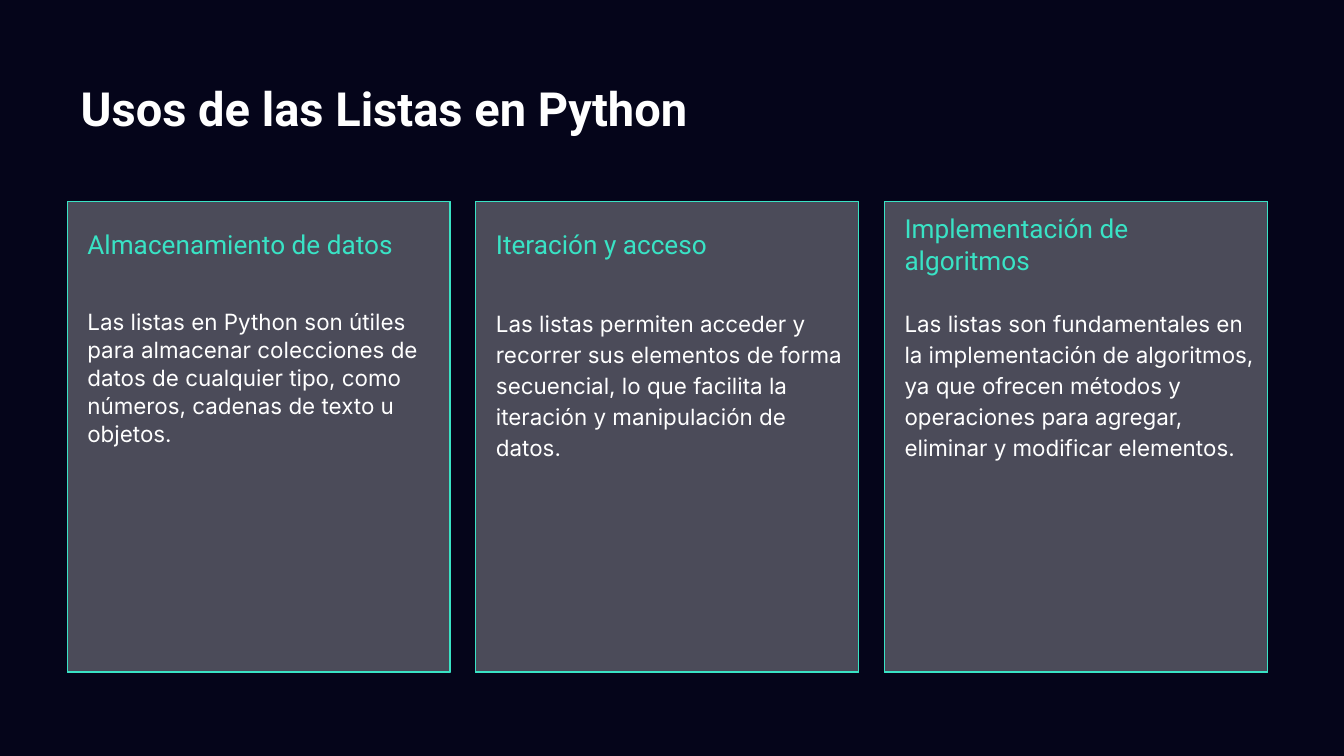
from lxml import etree
from pptx import Presentation
from pptx.dml.color import RGBColor
from pptx.enum.shapes import MSO_SHAPE as Shape
from pptx.enum.text import MSO_ANCHOR as Anchor, PP_ALIGN as Align
from pptx.oxml.ns import qn
from pptx.util import Pt

# Content: heading, body, line spacing, right inset of the body
TITLE = "Usos de las Listas en Python"
CARDS = [
    ("Almacenamiento de datos",
     "Las listas en Python son útiles para almacenar colecciones de datos de "
     "cualquier tipo, como números, cadenas de texto u objetos.", 1.05, 10.8),
    ("Iteración y acceso",
     "Las listas permiten acceder y recorrer sus elementos de forma secuencial, "
     "lo que facilita la iteración y manipulación de datos.", 1.15, 7.2),
    ("Implementación de algoritmos",
     "Las listas son fundamentales en la implementación de algoritmos, ya que "
     "ofrecen métodos y operaciones para agregar, eliminar y modificar elementos.",
     1.15, 7.2),
]
BACKGROUND, WHITE, TEAL = "05051A", "FFFFFF", "39E3C5"

# Card grid, in points
LEFT, TOP, WIDTH, HEIGHT, STEP = 36, 108, 205.2, 252, 218.88
HEADING_HEIGHT, BODY_TOP = 45.36, 149.76
LAYERS = (20, 10)  # opacity of the stacked panels, in percent


def color(value):
    return RGBColor.from_string(value)


def place(shape, left, top, width, height):
    shape.left, shape.top = Pt(left), Pt(top)
    shape.width, shape.height = Pt(width), Pt(height)


def write(shape, text, font, size, ink, insets, anchor=Anchor.TOP, bold=False):
    frame = shape.text_frame
    frame.word_wrap = True
    frame.vertical_anchor = anchor
    (frame.margin_left, frame.margin_top,
     frame.margin_right, frame.margin_bottom) = map(Pt, insets)
    paragraph = frame.paragraphs[0]
    paragraph.text = text
    paragraph.alignment = Align.LEFT
    paragraph.font.name = font
    paragraph.font.size = Pt(size)
    paragraph.font.bold = bold
    paragraph.font.color.rgb = color(ink)
    return paragraph


def add_panel(slide, left, opacity):
    panel = slide.shapes.add_shape(
        Shape.RECTANGLE, Pt(left), Pt(TOP), Pt(WIDTH), Pt(HEIGHT))
    panel.shadow.inherit = False
    panel.fill.solid()
    panel.fill.fore_color.rgb = color(WHITE)
    fill_color = panel.fill._xPr.find(qn("a:solidFill"))[0]
    etree.SubElement(fill_color, qn("a:alpha"), val=str(opacity * 1000))
    panel.line.color.rgb = color(TEAL)
    panel.line.width = Pt(0.75)


def add_text(slide, left, top, height, *style, **options):
    box = slide.shapes.add_textbox(Pt(left), Pt(top), Pt(WIDTH), Pt(height))
    return write(box, *style, **options)


presentation = Presentation()
presentation.slide_width, presentation.slide_height = Pt(720), Pt(405)
slide = presentation.slides.add_slide(presentation.slide_layouts[5])
slide.background.fill.solid()
slide.background.fill.fore_color.rgb = color(BACKGROUND)

# Title
title = slide.shapes.title
place(title, 36, 35.28, 648, 45.36)
write(title, TITLE, "Roboto", 25.2, WHITE, (7.2,) * 4, Anchor.MIDDLE, bold=True)

# Cards
for index, (heading, body, spacing, right_inset) in enumerate(CARDS):
    left = LEFT + index * STEP
    for opacity in LAYERS:
        add_panel(slide, left, opacity)
    add_text(slide, left, TOP, HEADING_HEIGHT, heading, "Roboto", 14, TEAL,
             (10.8, 0, 10.8, 0), anchor=Anchor.MIDDLE)
    paragraph = add_text(slide, left, BODY_TOP, TOP + HEIGHT - BODY_TOP, body,
                         "Inter", 12, WHITE, (10.8, 14.4, right_inset, 7.2))
    paragraph.line_spacing = spacing
    paragraph.space_after = Pt(10)

presentation.save("out.pptx")
